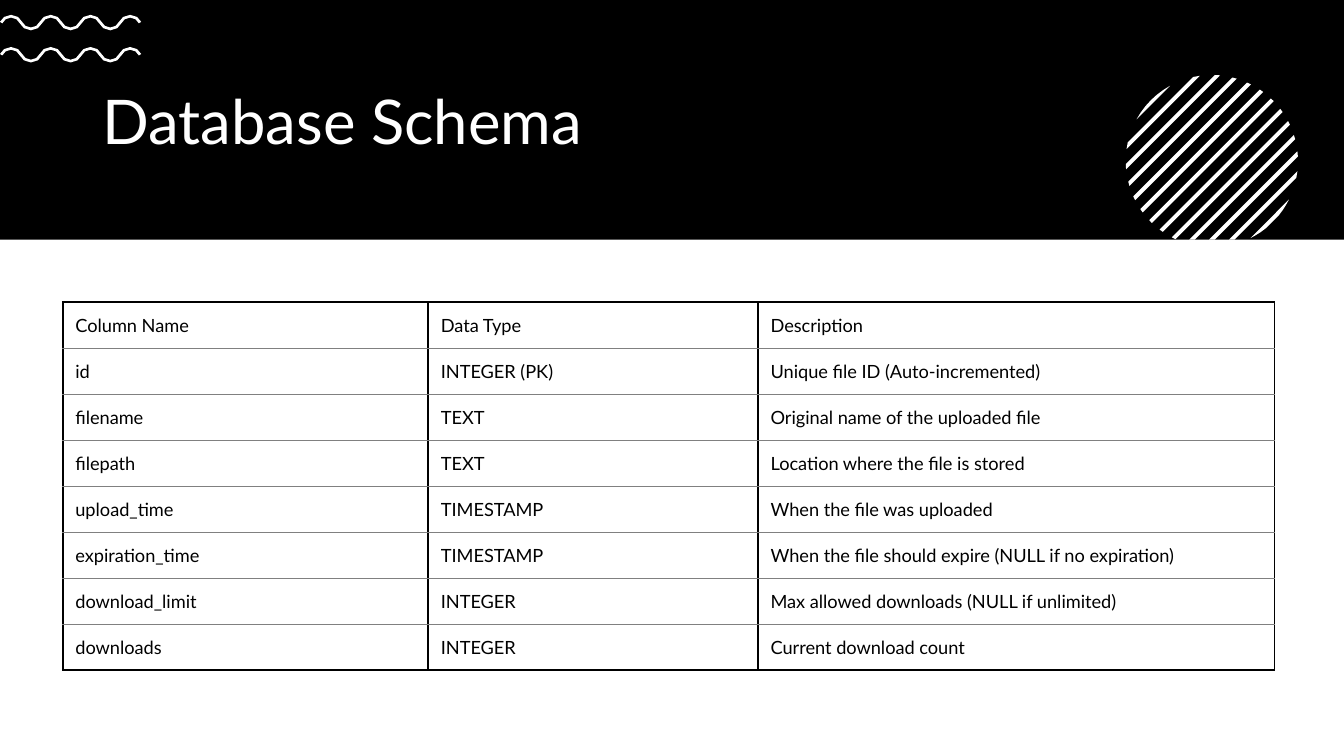
"""Build the database schema slide: a dark banner with ornaments above a table."""
from dataclasses import dataclass
from math import asin, cos, hypot, pi, sin, sqrt

from lxml import etree
from pptx import Presentation
from pptx.dml.color import RGBColor
from pptx.enum.shapes import MSO_SHAPE
from pptx.enum.text import MSO_ANCHOR
from pptx.oxml.ns import qn
from pptx.shapes.autoshape import Shape
from pptx.shapes.group import GroupShape
from pptx.slide import Slide
from pptx.table import _Cell
from pptx.text.text import TextFrame
from pptx.util import Cm, Pt

RECT = MSO_SHAPE.RECTANGLE
MIDDLE = MSO_ANCHOR.MIDDLE
COLORS = {"black": "000000", "white": "FFFFFF", "grey": "808080"}
FONT = "Lato"
WIDTH, HEIGHT, BANNER = 33.87, 19.05, 6.04

Point = tuple[float, float]


@dataclass(frozen=True)
class Wave:
    mid: float
    start: float = 0.03
    period: float = 1.0
    turns: float = 3.5
    swing: float = 0.16
    thick: float = 0.07
    bulge: float = 0.03


@dataclass(frozen=True)
class Disc:
    x: float = 30.54
    y: float = 4.06
    radius: float = 2.17
    first: float = 31.65
    pitch: float = 0.5
    band: float = 0.14
    count: int = 13


@dataclass(frozen=True)
class Edge:
    side: str
    color: str
    width: float


WAVES = [Wave(1.38), Wave(0.57)]
COLUMNS = [9.21, 8.31, 13.02]
FIELDS = [
    ("Column Name", "Data Type", "Description"),
    ("id", "INTEGER (PK)", "Unique file ID (Auto-incremented)"),
    ("filename", "TEXT", "Original name of the uploaded file"),
    ("filepath", "TEXT", "Location where the file is stored"),
    ("upload_time", "TIMESTAMP", "When the file was uploaded"),
    ("expiration_time", "TIMESTAMP", "When the file should expire (NULL if no expiration)"),
    ("download_limit", "INTEGER", "Max allowed downloads (NULL if unlimited)"),
    ("downloads", "INTEGER", "Current download count"),
]
DEPTH = 9.27


def paint(shape: Shape, color: str) -> None:
    shape.shadow.inherit = False
    shape.fill.solid()
    shape.fill.fore_color.rgb = RGBColor.from_string(COLORS[color])
    shape.line.fill.background()


def put(frame: TextFrame, text: str, *, size: float, color: str, space: float | None = None) -> None:
    para = frame.paragraphs[0]
    para.line_spacing = space
    run = para.add_run()
    run.text = text
    run.font.name = FONT
    run.font.size = Pt(size)
    run.font.color.rgb = RGBColor.from_string(COLORS[color])


def trace(group: GroupShape, points: list[Point]) -> None:
    spots = [(Cm(x), Cm(y)) for x, y in points]
    pen = group.shapes.build_freeform(*spots[0])
    pen.add_line_segments(spots[1:], close=True)
    paint(pen.convert_to_shape(), "white")


def ripple(wave: Wave, steps: int = 28) -> list[Point]:
    top, low = [], []
    rate = 2 * pi / wave.period
    for step in range(steps + 1):
        run = wave.turns * wave.period * step / steps
        turn = rate * run
        x = wave.start + run - wave.bulge * sin(2 * turn)
        y = wave.mid - wave.swing * sin(turn)
        across = 1 - 2 * rate * wave.bulge * cos(2 * turn)
        down = -wave.swing * rate * cos(turn)
        reach = wave.thick / 2 / hypot(across, down)
        top.append((x + down * reach, y - across * reach))
        low.append((x - down * reach, y + across * reach))
    return top + low[::-1]


def stripe(disc: Disc, index: int) -> list[Point]:
    outer = disc.first + index * disc.pitch
    near, far = (
        asin(max(-1, min(1, (total - disc.x - disc.y) / sqrt(2) / disc.radius)))
        for total in (outer - disc.band, outer)
    )
    steps = 3 if index in (0, disc.count - 1) else 1
    right, left = [], []
    for step in range(steps + 1):
        angle = near + (far - near) * step / steps
        shift, half = disc.radius * sin(angle), disc.radius * cos(angle)
        for ends, reach in ((right, half), (left, -half)):
            x = disc.x + (shift + reach) / sqrt(2)
            y = disc.y + (shift - reach) / sqrt(2)
            over = max(0, y - BANNER)
            ends.append((x + over, y - over))
    return right + left[::-1]


def border(cell: _Cell, edge: Edge) -> None:
    line = etree.SubElement(cell._tc.get_or_add_tcPr(), qn(f"a:ln{edge.side}"), w=str(Pt(edge.width)))
    fill = etree.SubElement(line, qn("a:solidFill"))
    etree.SubElement(fill, qn("a:srgbClr"), val=COLORS[edge.color])


def grid(slide: Slide) -> None:
    count = len(FIELDS)
    frame = slide.shapes.add_table(
        count, len(COLUMNS), Cm(1.58), Cm(7.62), Cm(sum(COLUMNS)), Cm(DEPTH)
    )
    table = frame.table
    table.first_row = table.horz_banding = False
    for column, width in zip(table.columns, COLUMNS):
        column.width = Cm(width)
    thick, thin = ("black", 1.5), ("grey", 0.5)
    for index, field in enumerate(FIELDS):
        table.rows[index].height = Cm(DEPTH / count)
        edges = [
            Edge("L", *thick),
            Edge("R", *thick),
            Edge("T", *(thick if index == 0 else thin)),
            Edge("B", *(thick if index == count - 1 else thin)),
        ]
        for cell, text in zip(table.rows[index].cells, field):
            cell.margin_left = Cm(0.32)
            cell.margin_right = cell.margin_top = cell.margin_bottom = Cm(0.25)
            cell.vertical_anchor = MIDDLE
            for edge in edges:
                border(cell, edge)
            cell.fill.background()
            put(cell.text_frame, text, size=13, color="black")


def main() -> None:
    deck = Presentation()
    deck.slide_width, deck.slide_height = Cm(WIDTH), Cm(HEIGHT)
    slide = deck.slides.add_slide(deck.slide_layouts[6])
    paint(slide.shapes.add_shape(RECT, 0, 0, Cm(WIDTH), Cm(BANNER)), "black")
    title = slide.shapes.add_textbox(Cm(2.33), Cm(1.57), Cm(29.21), Cm(3.12)).text_frame
    title.word_wrap = True
    title.vertical_anchor = MIDDLE
    put(title, "Database Schema", size=44, color="white", space=0.9)
    waves = slide.shapes.add_group_shape()
    for wave in WAVES:
        trace(waves, ripple(wave))
    disc, bands = Disc(), slide.shapes.add_group_shape()
    for index in range(disc.count):
        trace(bands, stripe(disc, index))
    grid(slide)
    deck.save("out.pptx")


if __name__ == "__main__":
    main()
